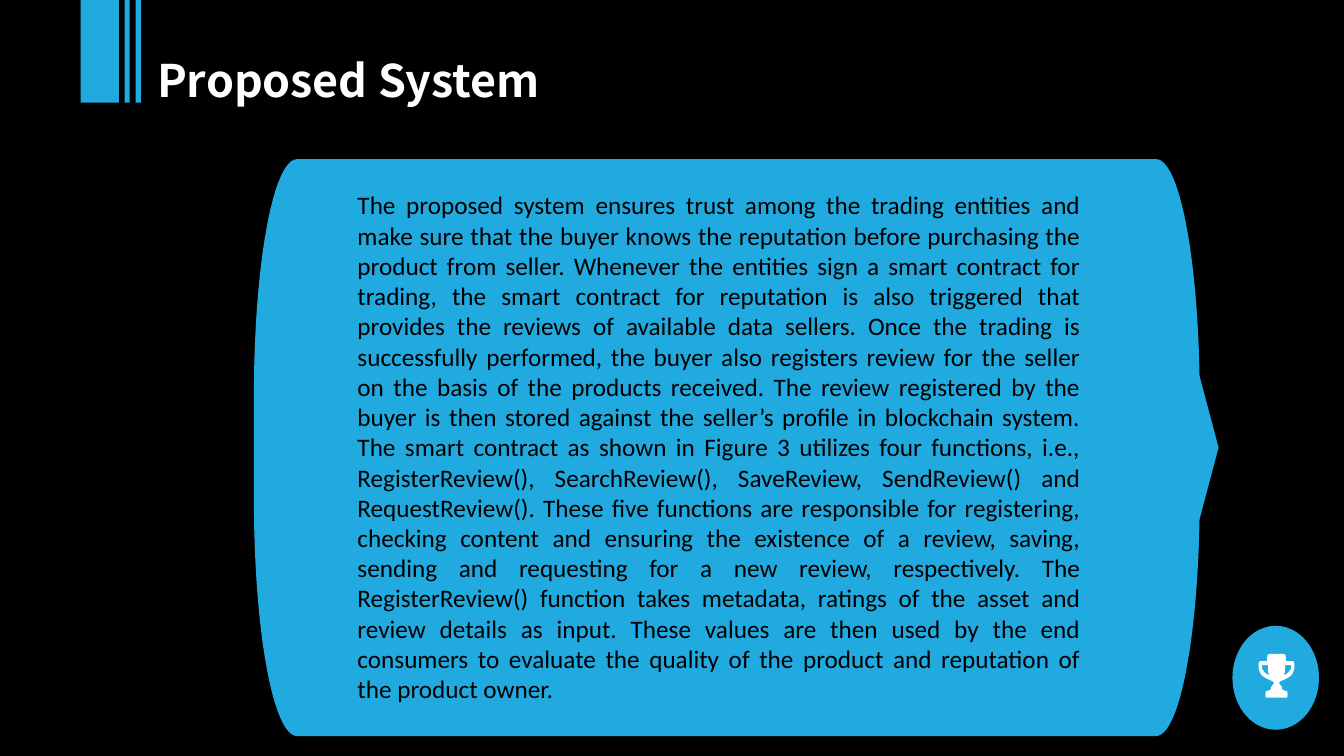
from pptx import Presentation
from pptx.dml.color import RGBColor
from pptx.enum.shapes import MSO_SHAPE
from pptx.enum.text import MSO_AUTO_SIZE, PP_ALIGN
from pptx.util import Cm, Pt

TITLE = "Proposed System"
BODY_SENTENCES = [
    "The proposed system ensures trust among the trading entities and make sure that "
    "the buyer knows the reputation before purchasing the product from seller.",
    "Whenever the entities sign a smart contract for trading, the smart contract for "
    "reputation is also triggered that provides the reviews of available data sellers.",
    "Once the trading is successfully performed, the buyer also registers review for "
    "the seller on the basis of the products received.",
    "The review registered by the buyer is then stored against the seller’s profile in "
    "blockchain system.",
    "The smart contract as shown in Figure 3 utilizes four functions, i.e., "
    "RegisterReview(), SearchReview(), SaveReview, SendReview() and RequestReview().",
    "These five functions are responsible for registering, checking content and ensuring "
    "the existence of a review, saving, sending and requesting for a new review, "
    "respectively.",
    "The RegisterReview() function takes metadata, ratings of the asset and review "
    "details as input.",
    "These values are then used by the end consumers to evaluate the quality of the "
    "product and reputation of the product owner.",
]
COLORS = {"background": "000000", "accent": "21AAE0", "light": "FFFFFF", "dark": "000000"}

# All lengths below are centimetres.
BARS = [(2.03, 0.97), (3.14, 0.13), (3.42, 0.13)]  # left, width
BAR_HEIGHT = 2.59
BADGE = (31.06, 15.77, 2.18, 2.62)

PANEL_MIDDLE = 11.28
PANEL_LEFT_CURVE = [(6.4, 9.98), (6.4, 6.68), (6.88, 4.01), (7.49, 4.01)]
PANEL_RIGHT_CURVE = [(29.13, 4.01), (29.72, 4.01), (30.18, 6.43), (30.23, 9.47)]
PANEL_TIP = (30.71, PANEL_MIDDLE)

TROPHY_CENTER = 32.17
TROPHY_SIDE = [  # distance from the centre line, y
    (0.18, 16.48), (0.23, 16.51), (0.24, 16.66), (0.42, 16.66), (0.45, 16.71),
    (0.45, 16.84), (0.42, 16.94), (0.37, 17.02), (0.27, 17.09), (0.14, 17.15),
    (0.09, 17.17), (0.06, 17.22), (0.09, 17.25), (0.14, 17.32), (0.14, 17.37),
    (0.22, 17.41), (0.27, 17.42), (0.28, 17.5), (0.27, 17.58),
]
TROPHY_HANDLE = [
    (0.22, 16.76), (0.37, 16.76), (0.37, 16.84), (0.32, 16.92),
    (0.27, 16.97), (0.19, 17.02), (0.22, 16.89),
]


def bezier(controls, steps=24):
    """Return points along a cubic curve given by four control points."""
    points = []
    for step in range(steps + 1):
        t = step / steps
        weights = ((1 - t) ** 3, 3 * t * (1 - t) ** 2, 3 * t * t * (1 - t), t ** 3)
        points.append(tuple(
            sum(w * c[axis] for w, c in zip(weights, controls)) for axis in (0, 1)
        ))
    return points


def paint(shape, color):
    shape.shadow.inherit = False
    shape.fill.solid()
    shape.fill.fore_color.rgb = RGBColor.from_string(COLORS[color])
    shape.line.fill.background()


def add_preset(slide, kind, box, color):
    paint(slide.shapes.add_shape(kind, *map(Cm, box)), color)


def add_outline(slide, contours, color):
    """Draw closed contours as one shape; inner contours become holes."""
    builder = None
    for contour in contours:
        start, *rest = [(Cm(x), Cm(y)) for x, y in contour]
        if builder is None:
            builder = slide.shapes.build_freeform(*start)
        else:
            builder.move_to(*start)
        builder.add_line_segments(rest, close=True)
    paint(builder.convert_to_shape(), color)


def add_text(slide, text, box, *, font, size, color, bold=False,
             align=PP_ALIGN.LEFT, spacing=None, inset=(0, 0)):
    frame = slide.shapes.add_textbox(*map(Cm, box)).text_frame
    frame.word_wrap = True
    frame.auto_size = MSO_AUTO_SIZE.SHAPE_TO_FIT_TEXT
    frame.margin_left = frame.margin_right = Cm(inset[0])
    frame.margin_top = frame.margin_bottom = Cm(inset[1])
    paragraph = frame.paragraphs[0]
    paragraph.alignment = align
    if spacing:
        paragraph.line_spacing = spacing
    run = paragraph.add_run()
    run.text = text
    run.font.name = font
    run.font.size = Pt(size)
    run.font.bold = bold
    run.font.color.rgb = RGBColor.from_string(COLORS[color])


def add_badge(slide):
    add_preset(slide, MSO_SHAPE.OVAL, BADGE, "accent")
    right, left = (
        [[(TROPHY_CENTER + sign * dx, y) for dx, y in part]
         for part in (TROPHY_SIDE, TROPHY_HANDLE)]
        for sign in (1, -1)
    )
    cup = right[0] + left[0][::-1]
    add_outline(slide, [cup, right[1], left[1]], "light")


def add_panel(slide):
    upper = bezier(PANEL_LEFT_CURVE) + bezier(PANEL_RIGHT_CURVE)
    lower = [(x, 2 * PANEL_MIDDLE - y) for x, y in reversed(upper)]
    add_outline(slide, [upper + [PANEL_TIP] + lower], "accent")


def main():
    prs = Presentation()
    prs.slide_width, prs.slide_height = Cm(33.87), Cm(19.05)
    slide = prs.slides.add_slide(prs.slide_layouts[6])
    slide.background.fill.solid()
    slide.background.fill.fore_color.rgb = RGBColor.from_string(COLORS["background"])

    add_badge(slide)
    add_panel(slide)
    add_text(slide, TITLE, (3.96, 1.07, 10.08, 1.65), font="Noto Sans CJK SC",
             size=32, color="light", bold=True, spacing=1.2)
    for left, width in BARS:
        add_preset(slide, MSO_SHAPE.RECTANGLE, (left, 0, width, BAR_HEIGHT), "accent")
    add_text(slide, " ".join(BODY_SENTENCES), (8.76, 4.65, 18.72, 13.34),
             font="Calibri", size=18, color="dark", align=PP_ALIGN.JUSTIFY,
             inset=(0.25, 0.13))
    prs.save("out.pptx")


if __name__ == "__main__":
    main()
